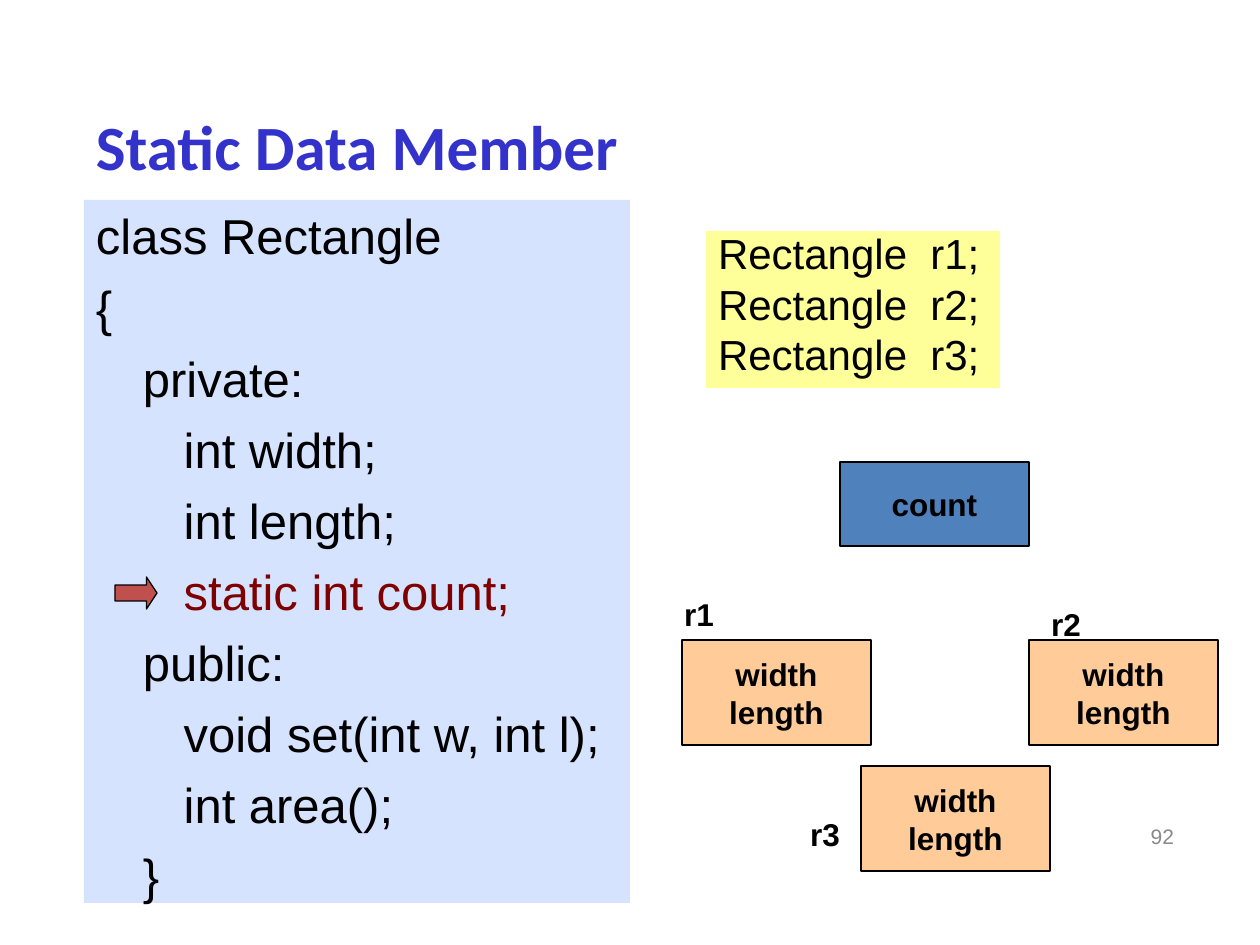
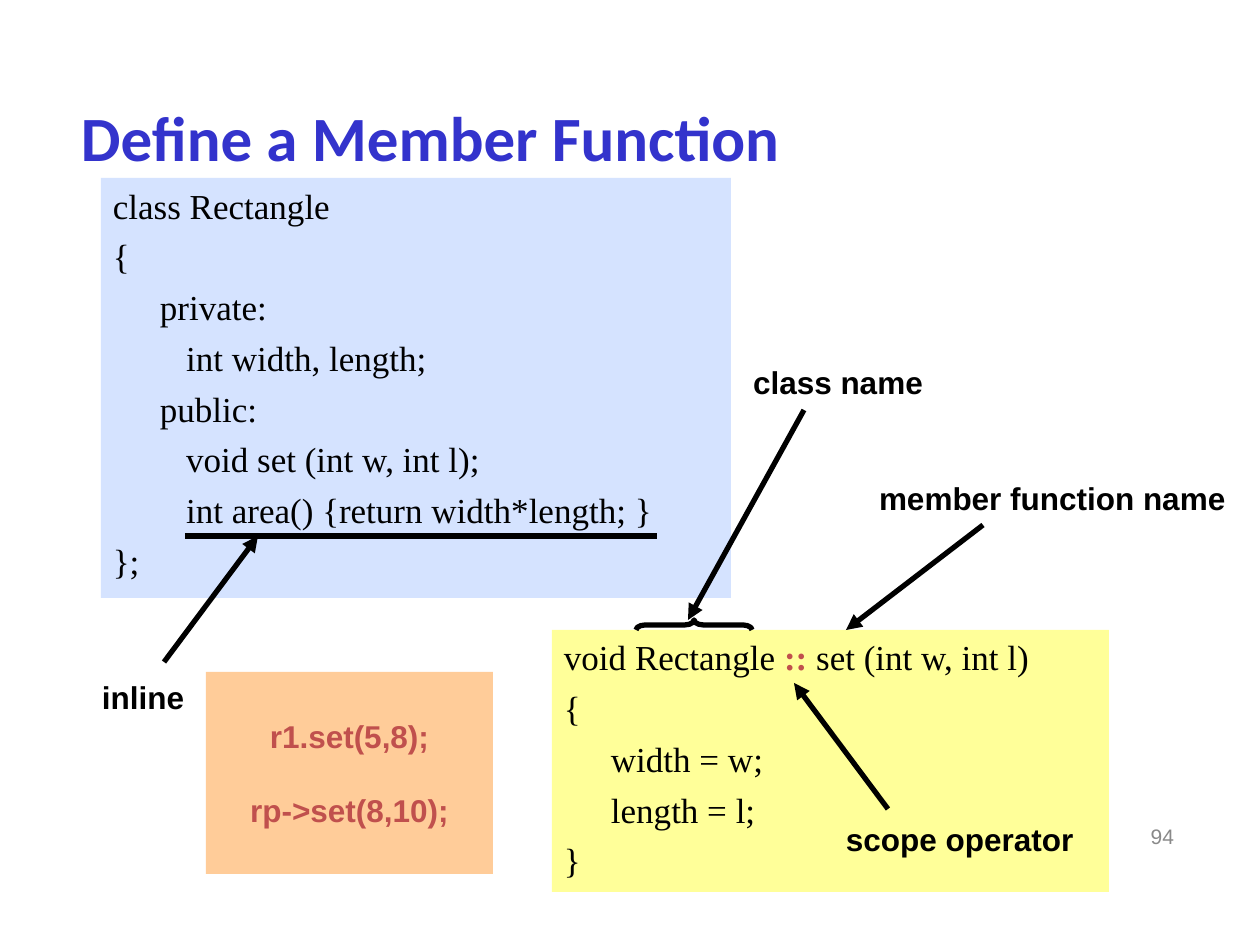
from typing import NamedTuple

import pptx
import pptx.dml.color
import pptx.enum.shapes
import pptx.enum.text
import pptx.oxml.ns
import pptx.util
from lxml import etree

RGBColor = pptx.dml.color.RGBColor
MSO_SHAPE = pptx.enum.shapes.MSO_SHAPE
PP_ALIGN = pptx.enum.text.PP_ALIGN
MSO_ANCHOR = pptx.enum.text.MSO_ANCHOR
MSO_AUTO_SIZE = pptx.enum.text.MSO_AUTO_SIZE

BLACK = RGBColor(0x00, 0x00, 0x00)
TITLE_BLUE = RGBColor(0x33, 0x33, 0xCC)
PAGE_GRAY = RGBColor(0x89, 0x89, 0x89)
CODE_BLUE = RGBColor(0xD5, 0xE3, 0xFF)
CODE_YELLOW = RGBColor(0xFF, 0xFF, 0x99)
PEACH = RGBColor(0xFF, 0xCC, 0x99)
STEEL = RGBColor(0x4F, 0x81, 0xBD)
BRICK = RGBColor(0xC0, 0x50, 0x4D)
MAROON = RGBColor(0x80, 0x00, 0x00)

PX = 914400 / 126  # EMU in one px
PAD_X, PAD_Y = 12, 6
CODE_HANG = 47


class Box(NamedTuple):
    x: int
    y: int
    w: int
    h: int


class Span(NamedTuple):
    text: str
    color: RGBColor = BLACK
    bold: bool = False


class Style(NamedTuple):
    size: int
    font: str = "Arial"
    align: PP_ALIGN = PP_ALIGN.LEFT
    anchor: MSO_ANCHOR = MSO_ANCHOR.TOP
    gap: float = 0
    leading: float | None = None
    hang: int = 0
    fit: bool = False


class Label(NamedTuple):
    text: str
    box: Box


class Arrow(NamedTuple):
    x1: int
    y1: int
    x2: int
    y2: int
    head: bool = True


Line = tuple[Span, ...]

TITLE = Style(36, "Calibri", anchor=MSO_ANCHOR.MIDDLE)
PAGE = Style(12, align=PP_ALIGN.RIGHT, anchor=MSO_ANCHOR.MIDDLE)
LABEL = Style(18, fit=True)
CENTERED = Style(18, align=PP_ALIGN.CENTER, anchor=MSO_ANCHOR.MIDDLE)
CALLS = CENTERED._replace(gap=21)
CODE_LARGE = Style(28, gap=7, hang=CODE_HANG)
CODE_TIGHT = CODE_LARGE._replace(size=24, gap=6, leading=0.8)
CODE_SERIF = CODE_LARGE._replace(size=20, font="Times New Roman", gap=5)


def px(n: float) -> int:
    return round(n * PX)


def lines(*texts: str, color: RGBColor = BLACK, bold: bool = False) -> list[Line]:
    """One single-span line for each text."""
    return [(Span(text, color, bold),) for text in texts]


def write(sp, content: list[Line], style: Style) -> None:
    tf = sp.text_frame
    tf.word_wrap = not style.fit
    if style.fit:
        tf.auto_size = MSO_AUTO_SIZE.SHAPE_TO_FIT_TEXT
    tf.vertical_anchor = style.anchor
    tf.margin_left = tf.margin_right = px(PAD_X)
    tf.margin_top = tf.margin_bottom = px(PAD_Y)
    for i, line in enumerate(content):
        p = tf.add_paragraph() if i else tf.paragraphs[0]
        p.alignment = style.align
        p.space_before = pptx.util.Pt(style.gap if i else 0)
        if style.leading:
            p.line_spacing = style.leading
        if style.hang:
            pPr = p._p.get_or_add_pPr()
            pPr.set("marL", str(px(style.hang)))
            pPr.set("indent", str(-px(style.hang)))
        for span in line:
            r = p.add_run()
            r.text = span.text
            r.font.name = style.font
            r.font.size = pptx.util.Pt(style.size)
            r.font.bold = span.bold
            r.font.color.rgb = span.color


def add_text(s, box: Box, content: list[Line], style: Style) -> None:
    write(s.shapes.add_textbox(*map(px, box)), content, style)


def add_shape(s, kind: MSO_SHAPE, box: Box, fill: RGBColor | None,
              line_pt: float = 0):
    """Add a preset shape; a zero line width means no outline."""
    sp = s.shapes.add_shape(kind, *map(px, box))
    sp.shadow.inherit = False
    if fill is None:
        sp.fill.background()
    else:
        sp.fill.solid()
        sp.fill.fore_color.rgb = fill
    if line_pt:
        sp.line.color.rgb = BLACK
        sp.line.width = pptx.util.Pt(line_pt)
    else:
        sp.line.fill.background()
    return sp


def add_panel(s, box: Box, fill: RGBColor, content: list[Line], style: Style,
              line_pt: float = 0) -> None:
    write(add_shape(s, MSO_SHAPE.RECTANGLE, box, fill, line_pt), content, style)


def add_labels(s, labels: list[Label]) -> None:
    for label in labels:
        add_text(s, label.box, lines(label.text, bold=True), LABEL)


def add_arrow(s, arrow: Arrow) -> None:
    cx = s.shapes.add_connector(pptx.enum.shapes.MSO_CONNECTOR.STRAIGHT,
                                *map(px, arrow[:4]))
    cx.line.color.rgb = BLACK
    cx.line.width = pptx.util.Pt(3)
    if arrow.head:
        ln = cx.line._get_or_add_ln()
        etree.SubElement(ln, pptx.oxml.ns.qn("a:tailEnd"), type="triangle")
    etree.SubElement(cx._element.spPr, pptx.oxml.ns.qn("a:effectLst"))


def new_slide(prs, title: str, title_box: Box, page: int):
    s = prs.slides.add_slide(prs.slide_layouts[6])
    add_text(s, Box(892, 811, 294, 50), lines(str(page), color=PAGE_GRAY), PAGE)
    add_text(s, title_box, lines(title, color=TITLE_BLUE, bold=True), TITLE)
    return s


def static_member_slide(prs) -> None:
    s = new_slide(prs, "Static Data Member", Box(84, 101, 840, 88), 92)
    class_code = [
        *lines("class Rectangle", "{", "\tprivate:", "\t   int width;",
               "\t   int length;"),
        (Span("\t   "), Span("static int count;", MAROON)),
        *lines("\tpublic:", "\t   void set(int w, int l);",
               "\t   int area();", "\t}"),
    ]
    add_panel(s, Box(84, 200, 546, 703), CODE_BLUE, class_code, CODE_LARGE)
    objects = lines(*(f"Rectangle  r{n};" for n in (1, 2, 3)))
    add_panel(s, Box(706, 231, 294, 157), CODE_YELLOW, objects, CODE_TIGHT)

    pointer = add_shape(s, MSO_SHAPE.RIGHT_ARROW, Box(115, 577, 42, 32), BRICK, 0.75)
    pointer.adjustments[1] = 0.33

    for x, y in ((682, 640), (1029, 640), (861, 766)):
        add_panel(s, Box(x, y, 189, 105), PEACH,
                  lines("width", "length", bold=True), CENTERED, 0.75)
    add_panel(s, Box(840, 462, 189, 84), STEEL, lines("count", bold=True),
              CENTERED, 0.75)
    add_labels(s, [
        Label("r1", Box(672, 589, 54, 50)),
        Label("r2", Box(1039, 599, 54, 50)),
        Label("r3", Box(798, 809, 54, 50)),
    ])


def member_function_slide(prs) -> None:
    s = new_slide(prs, "Define a Member Function", Box(69, 87, 1134, 98), 94)
    class_code = lines(
        "class Rectangle", "{", "\tprivate:", "\t   int width, length;",
        "\tpublic:", "\t   void set (int w, int l);",
        "\t   int area() {return width*length; }", "};")
    add_panel(s, Box(101, 178, 630, 420), CODE_BLUE, class_code, CODE_SERIF)
    definition = [
        (Span("void Rectangle "), Span("::", BRICK, True),
         Span(" set (int w, int l)")),
        *lines("{", "\twidth = w;", "\tlength = l;", "}"),
    ]
    add_panel(s, Box(552, 630, 557, 262), CODE_YELLOW, definition, CODE_SERIF)

    add_labels(s, [
        Label("inline", Box(90, 672, 108, 50)),
        Label("class name", Box(741, 357, 195, 50)),
        Label("member function name", Box(867, 473, 371, 50)),
        Label("scope operator", Box(834, 814, 252, 50)),
    ])
    for arrow in (
        Arrow(164, 662, 258, 536),
        Arrow(185, 536, 657, 536, head=False),
        Arrow(804, 410, 688, 620),
        Arrow(983, 525, 846, 630),
        Arrow(888, 809, 794, 683),
    ):
        add_arrow(s, arrow)

    brace = add_shape(s, MSO_SHAPE.LEFT_BRACE, Box(689, 567, 10, 116), None, 3)
    brace.adjustments[0] = 0.92
    brace.rotation = 90

    calls = lines("r1.set(5,8);", "rp->set(8,10);", color=BRICK, bold=True)
    add_panel(s, Box(206, 672, 287, 202), PEACH, calls, CALLS)


def main() -> None:
    prs = pptx.Presentation()
    prs.slide_width, prs.slide_height = px(1260), px(945)
    static_member_slide(prs)
    member_function_slide(prs)
    prs.save("out.pptx")


if __name__ == "__main__":
    main()
